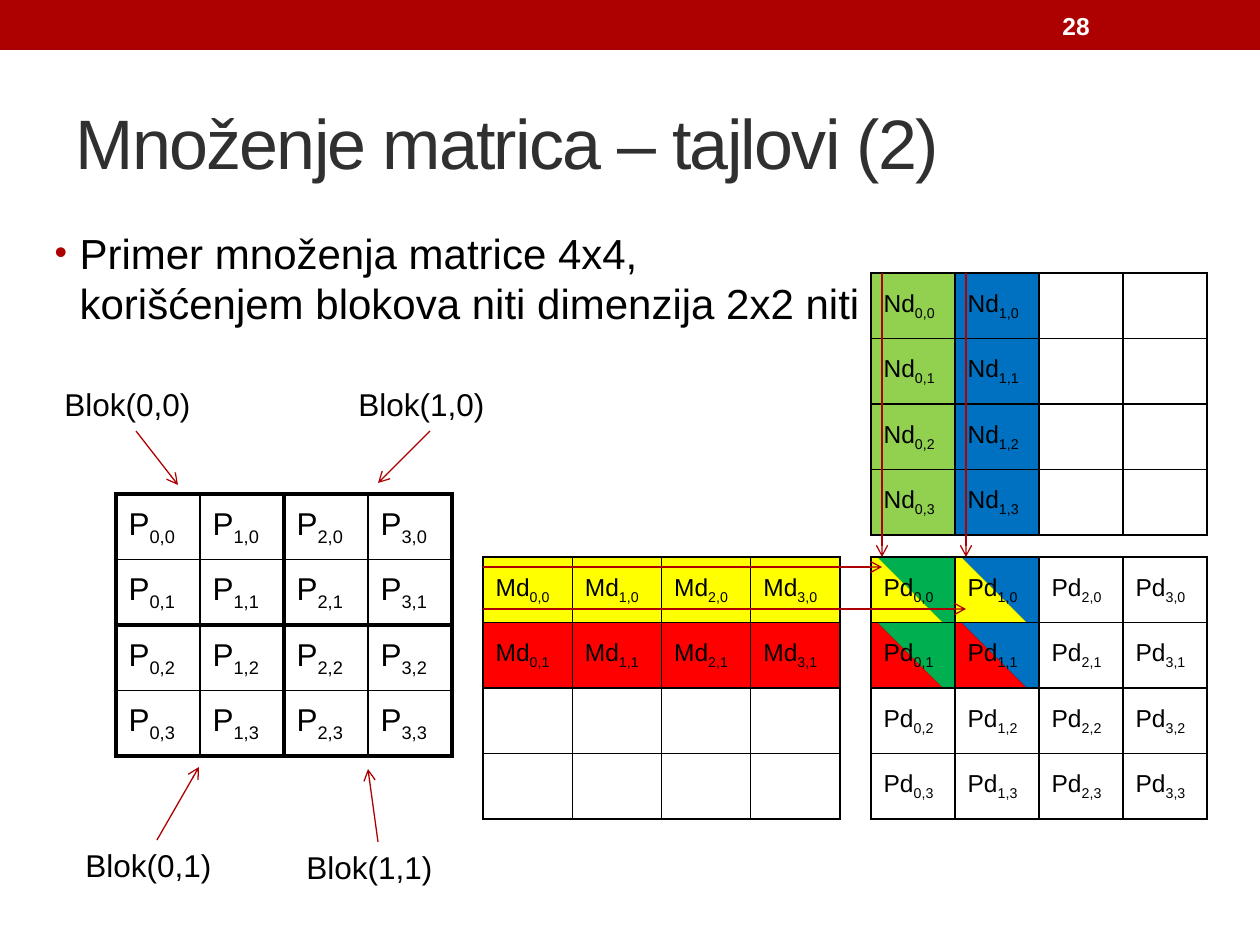
from pptx import Presentation
from pptx.dml.color import RGBColor
from pptx.enum.shapes import MSO_CONNECTOR, MSO_SHAPE
from pptx.enum.text import MSO_ANCHOR, MSO_AUTO_SIZE, PP_ALIGN
from pptx.oxml import parse_xml
from pptx.oxml.ns import nsdecls
from pptx.util import Pt

RECTANGLE = MSO_SHAPE.RECTANGLE
STRAIGHT = MSO_CONNECTOR.STRAIGHT
TOP, MIDDLE = MSO_ANCHOR.TOP, MSO_ANCHOR.MIDDLE
LEFT = PP_ALIGN.LEFT
NO_FIT = MSO_AUTO_SIZE.NONE

EMU_PER_PX = 914400 / 126
SIZE = 4
BLOCK = 2


def px(length):
    return round(length * EMU_PER_PX)


def color(value):
    return RGBColor.from_string(value)


def element(tag, attributes="", content=""):
    return parse_xml(f"<a:{tag} {nsdecls('a')} {attributes}>{content}</a:{tag}>")


class SlideBuilder:
    """Draws styled elements on the current slide."""

    font = "Arial"
    black, white, heading = "000000", "FFFFFF", "303030"
    band_red, line_red = "AD0101", "AE0000"

    def __init__(self, slide):
        self.slide = slide

    def style(self, para, size, ink=black, bold=False):
        para.alignment = LEFT
        for span in para.runs:
            span.font.name = self.font
            span.font.size = Pt(size)
            span.font.bold = bold
            span.font.color.rgb = color(ink)

    def place(self, box, left, top, width, height, anchor=TOP):
        box.left, box.top = px(left), px(top)
        box.width, box.height = px(width), px(height)
        frame = box.text_frame
        frame.word_wrap = True
        frame.auto_size = NO_FIT
        frame.vertical_anchor = anchor
        return frame.paragraphs[0]

    def title(self, text, *area):
        para = self.place(self.slide.shapes.title, *area, anchor=MIDDLE)
        para.text = text
        self.style(para, 40, self.heading)
        para.runs[0].font._element.set("spc", "-100")

    def bullet(self, text, *area):
        para = self.place(self.slide.placeholders[1], *area)
        para.text = text
        self.style(para, 24)
        properties = para._p.get_or_add_pPr()
        properties.set("marL", str(px(25)))
        properties.set("indent", str(px(-25)))
        properties.append(element("buClr", content=f'<a:srgbClr val="{self.band_red}"/>'))
        properties.append(element("buSzPct", 'val="85000"'))
        properties.append(element("buFont", f'typeface="{self.font}"'))
        properties.append(element("buChar", 'char="•"'))

    def band(self, *area):
        shape = self.slide.shapes.add_shape(RECTANGLE, *map(px, area))
        shape.shadow.inherit = False
        shape.fill.solid()
        shape.fill.fore_color.rgb = color(self.band_red)
        shape.line.fill.background()

    def label(self, text, *area, size=18, ink=black, bold=False, anchor=TOP):
        box = self.slide.shapes.add_textbox(*map(px, area))
        para = self.place(box, *area, anchor=anchor)
        para.text = text
        self.style(para, size, ink, bold)

    def arrow(self, *ends):
        line = self.slide.shapes.add_connector(STRAIGHT, *map(px, ends))
        line.line.color.rgb = color(self.line_red)
        line.line.width = Pt(0.75)
        line.line._get_or_add_ln().append(element("tailEnd", 'type="arrow"'))
        line._element.spPr.append(element("effectLst"))

    def borders(self, cell, widths):
        properties = cell._tc.get_or_add_tcPr()
        ink = f'<a:solidFill><a:srgbClr val="{self.black}"/></a:solidFill>'
        for position, (side, width) in enumerate(zip("LRTB", widths)):
            properties.insert(position, element(f"ln{side}", f'w="{Pt(width)}"', ink))

    def fill(self, cell, fills):
        if len(fills) == 1:
            cell.fill.solid()
            cell.fill.fore_color.rgb = color(fills[0])
            return
        cell.fill.gradient()
        cell.fill.gradient_angle = 45
        for stop, position, value in zip(cell.fill.gradient_stops, (0.48, 0.49), fills):
            stop.position = position
            stop.color.rgb = color(value)

    def matrix(self, name, *area, size=14, row_fills=(), column_fills=(),
               filled_only=False, block_edge=1):
        table = self.slide.shapes.add_table(SIZE, SIZE, *map(px, area)).table
        table.first_row = table.horz_banding = False
        for row in range(SIZE):
            for column in range(SIZE):
                cell = table.cell(row, column)
                cell.vertical_anchor = MIDDLE
                fills = self.cell_fills(row, column, row_fills, column_fills)
                self.fill(cell, fills or [self.white])
                edges = (column, column + 1, row, row + 1)
                self.borders(cell, [1 if edge % BLOCK else block_edge for edge in edges])
                if fills or not filled_only:
                    self.entry(cell, name, f"{column},{row}", size)

    def cell_fills(self, row, column, row_fills, column_fills):
        across, down = row_fills[row:row + 1], column_fills[column:column + 1]
        if row_fills and column_fills and not (across and down):
            return []
        return [*across, *down]

    def entry(self, cell, name, index, size):
        para = cell.text_frame.paragraphs[0]
        para.text = name
        para.add_run().text = index
        self.style(para, size)
        para.runs[1].font._element.set("baseline", "-25000")


def main():
    deck = Presentation()
    deck.slide_width, deck.slide_height = px(1260), px(945)
    page = SlideBuilder(deck.slides.add_slide(deck.slide_layouts[1]))

    page.band(0, 0, 1260, 50)
    page.title("Množenje matrica – tajlovi (2)", 63, 73, 1134, 136)
    page.bullet("Primer množenja matrice 4x4,\nkorišćenjem blokova niti dimenzija 2x2 niti",
                42, 221, 1155, 672)

    yellow, red, blue = "FFFF00", "FF0000", "0070C0"
    page.matrix("P", 116, 494, 336, 262, size=18, block_edge=3)
    page.matrix("Nd", 871, 273, 336, 262, column_fills=["92D050", blue], filled_only=True)
    page.matrix("Md", 483, 557, 357, 262, row_fills=[yellow, red], filled_only=True)
    page.matrix("Pd", 871, 557, 336, 262, row_fills=[yellow, red],
                column_fills=["00B050", blue])

    for block, left, top in (("0,0", 52, 379), ("0,1", 73, 840),
                             ("1,1", 294, 842), ("1,0", 346, 379)):
        page.label(f"Blok({block})", left, top, 168, 50)

    for ends in ((430, 431, 378, 483), (378, 842, 368, 769),
                 (157, 840, 199, 767), (136, 431, 178, 485)):
        page.arrow(*ends)
    for target, y in ((882, 567), (966, 609)):
        page.arrow(483, y, target, y)
        page.arrow(target, 273, target, 557)

    page.label("28", 1050, 3, 147, 45, size=14, ink=page.white, bold=True, anchor=MIDDLE)
    deck.save("out.pptx")


if __name__ == "__main__":
    main()
